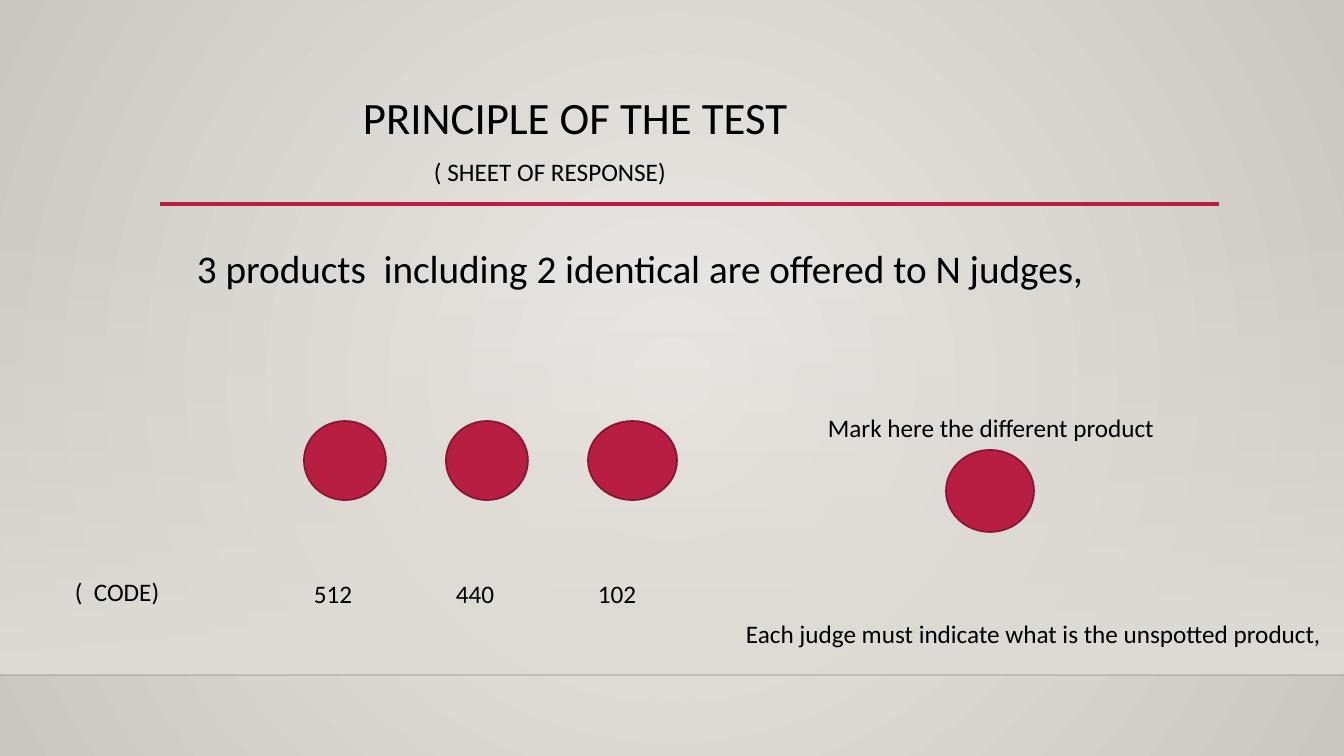
from pptx import Presentation
from pptx.dml.color import RGBColor
from pptx.enum.shapes import MSO_CONNECTOR, MSO_SHAPE
from pptx.oxml import parse_xml
from pptx.oxml.ns import nsdecls, qn
from pptx.util import Emu, Pt

SLIDE_W, SLIDE_H = 1344, 756
EMU_PER_PX = 12192000 / SLIDE_W
CRIMSON, DARK_CRIMSON, BLACK = "B71E42", "871631", "000000"


def px(length):
    return Emu(round(length * EMU_PER_PX))


def color(hex_code):
    return RGBColor.from_string(hex_code)


def set_gradient(owner, stops, direction):
    """Replace the default gradient in owner; stops are (position %, hex, alpha %)."""
    stop_xml = "".join(
        f'<a:gs pos="{pos * 1000}"><a:srgbClr val="{hex_code}">'
        f'<a:alpha val="{alpha * 1000}"/></a:srgbClr></a:gs>'
        for pos, hex_code, alpha in stops)
    gradient = parse_xml(
        f'<a:gradFill {nsdecls("a")} rotWithShape="1">'
        f'<a:gsLst>{stop_xml}</a:gsLst>{direction}</a:gradFill>')
    default = owner.find(".//" + qn("a:gradFill"))
    default.getparent().replace(default, gradient)


def add_rule(slide, left, y, width, hex_code, weight, alpha=100):
    rule = slide.shapes.add_connector(
        MSO_CONNECTOR.STRAIGHT, px(left), px(y), px(left + width), px(y))
    rule.line.color.rgb = color(hex_code)
    rule.line.width = Pt(weight)
    if alpha < 100:
        rule.line._ln.find(".//" + qn("a:srgbClr")).append(
            parse_xml(f'<a:alpha {nsdecls("a")} val="{alpha * 1000}"/>'))
    rule._element.spPr.append(parse_xml(f'<a:effectLst {nsdecls("a")}/>'))


def add_text(slide, box, lines, sizes):
    frame = slide.shapes.add_textbox(*map(px, box)).text_frame
    frame.word_wrap = True
    frame.text = "\n".join(lines)
    for paragraph, size in zip(frame.paragraphs, sizes):
        font = paragraph.runs[0].font
        font.name, font.size = "Calibri", Pt(size)
        font.color.rgb = color(BLACK)
    return frame


def add_product(slide, box):
    product = slide.shapes.add_shape(MSO_SHAPE.OVAL, *map(px, box))
    product.shadow.inherit = False
    product.fill.solid()
    product.fill.fore_color.rgb = color(CRIMSON)
    product.line.color.rgb = color(DARK_CRIMSON)
    product.line.width = Pt(1.25)


def add_backdrop(slide, wall_top, floor_y):
    slide.background.fill.gradient()
    set_gradient(
        slide.element, [(0, "ECEAE7", 100), (100, "CAC7C1", 100)],
        '<a:path path="circle">'
        '<a:fillToRect l="50000" t="50000" r="50000" b="50000"/></a:path>')
    wall = slide.shapes.add_shape(
        MSO_SHAPE.RECTANGLE, 0, px(wall_top), px(SLIDE_W), px(floor_y - wall_top))
    wall.shadow.inherit = False
    wall.line.fill.background()
    wall.fill.gradient()
    set_gradient(wall._element, [(0, "DFDBD5", 0), (100, "DFDBD5", 100)],
                 '<a:lin ang="5400000" scaled="0"/>')
    add_rule(slide, 0, floor_y, SLIDE_W, "000001", 1, alpha=20)


def add_heading(slide, left, top, width, height):
    frame = add_text(slide, (left, top, width, height),
                     ["PRINCIPLE OF THE TEST", "( SHEET OF RESPONSE)"], (32, 18))
    frame.margin_left = frame.margin_top = 0
    for paragraph, indent in zip(frame.paragraphs, (203, 274)):
        paragraph._p.get_or_add_pPr().set("marL", str(px(indent)))
    frame.paragraphs[1].space_before = Pt(9)
    add_rule(slide, left, top + height, width, CRIMSON, 2.5)


def add_statement(slide, left, top, width, height):
    frame = add_text(slide, (left, top, width, height),
                     ["3 products  including 2 identical are offered to N judges,"], [28])
    frame.paragraphs[0].line_spacing = 1.2


def add_samples(slide, left, top, pitch, height):
    """Row of products, each with its code below."""
    for i, (code, width) in enumerate([("512", 82), ("440", 82), ("102", 89)]):
        x = left + i * pitch
        add_product(slide, (x, top, width, height))
        add_text(slide, (x, top + 152, width, 40), [code], [18])
    add_text(slide, (left - 239, top + 150, 180, 40), ["(  CODE)"], [18])


def add_answer(slide, left, top, width):
    add_text(slide, (left, top, width, 40), ["Mark here the different product"], [18])
    add_product(slide, (left + 128, top + 43, 88, 82))
    instruction_left = left - 82
    add_text(slide, (instruction_left, top + 206, SLIDE_W - instruction_left, 40),
             ["Each judge must indicate what is the unspotted product,"], [18])


def main():
    deck = Presentation()
    deck.slide_width, deck.slide_height = px(SLIDE_W), px(SLIDE_H)
    slide = deck.slides.add_slide(deck.slide_layouts[6])
    add_backdrop(slide, wall_top=223, floor_y=675)
    add_heading(slide, 160, 90, 1059, 114)
    add_statement(slide, 187, 230, 1032, 341)
    add_samples(slide, 304, 421, pitch=142, height=79)
    add_answer(slide, 818, 407, 401)
    deck.save("out.pptx")


if __name__ == "__main__":
    main()
